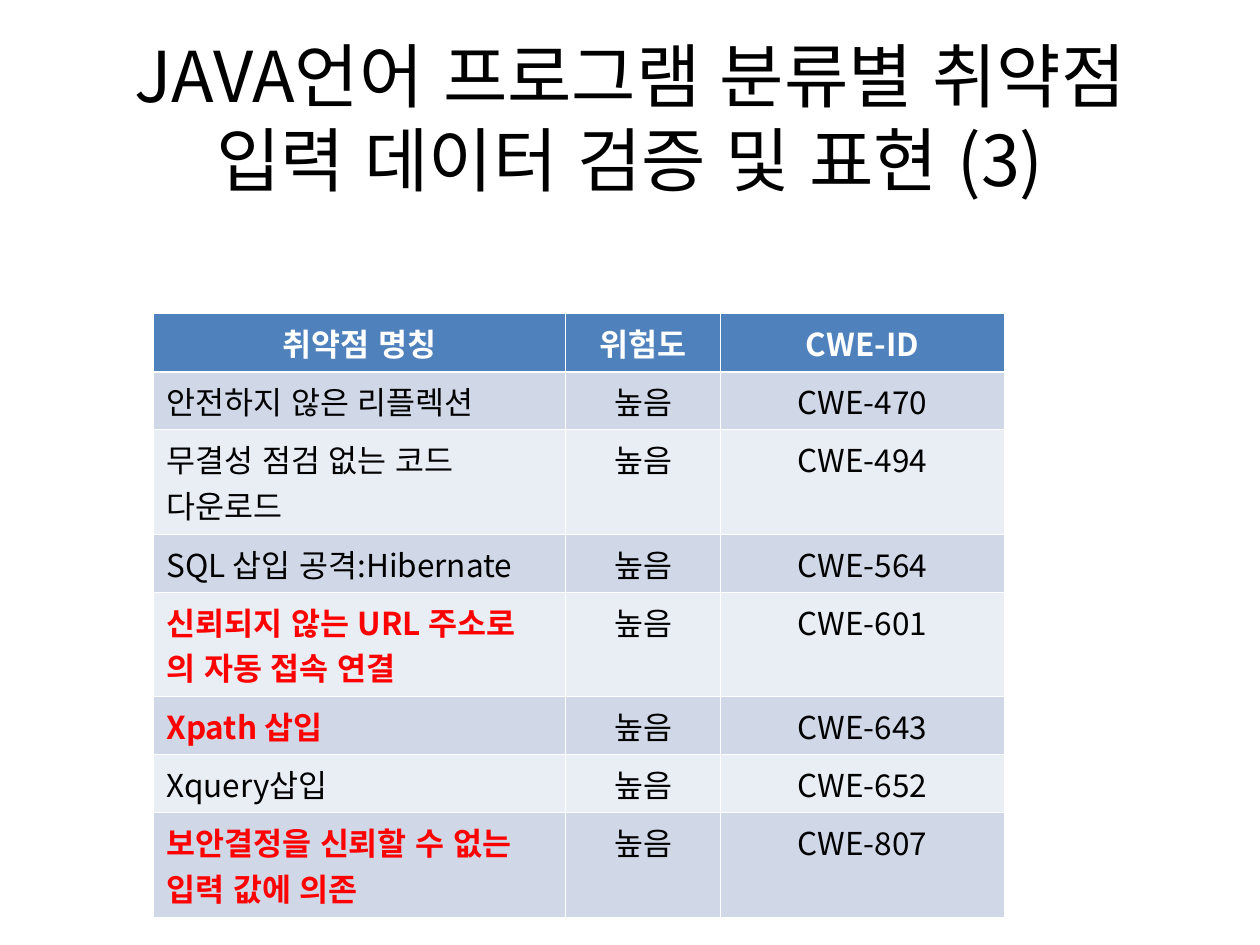
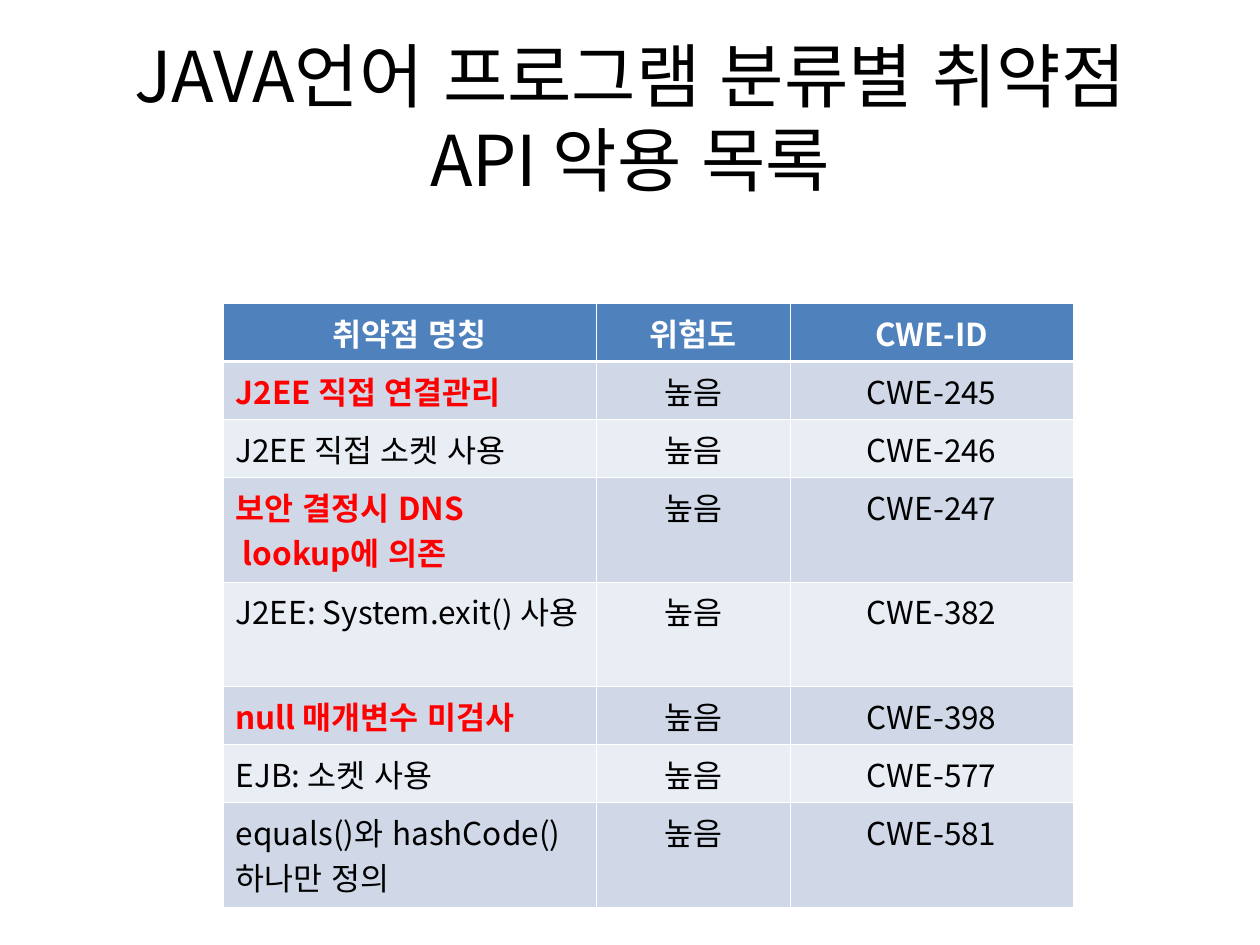
from lxml.etree import SubElement
from pptx import Presentation
from pptx.dml.color import RGBColor
from pptx.enum.lang import MSO_LANGUAGE_ID
from pptx.enum.text import MSO_ANCHOR, PP_ALIGN
from pptx.oxml.ns import qn
from pptx.util import Inches, Pt

FONT = "Noto Sans CJK KR"
BLACK, WHITE, RED = "000000", "FFFFFF", "FF0000"
HEADER_FILL = "4F81BD"
BAND_FILLS = ("D0D8E8", "E9EDF4")
THIN, THICK = 0.45, 1.47
SINGLE_ROW, DOUBLE_ROW = 0.46, 0.83
TITLE_START = "JAVA언어 프로그램 분류별 취약점 "
HEADINGS = ("취약점 명칭", "위험도", "CWE-ID")
RISK = "높음"

INPUT_ROWS = [
    ("안전하지 않은 리플렉션", 470, False),
    ("무결성 점검 없는 코드\n다운로드", 494, False),
    ("SQL 삽입 공격:Hibernate", 564, False),
    ("신뢰되지 않는 URL 주소로\n의 자동 접속 연결", 601, True),
    ("Xpath 삽입", 643, True),
    ("Xquery삽입", 652, False),
    ("보안결정을 신뢰할 수 없는\n입력 값에 의존", 807, True),
]
API_ROWS = [
    ("J2EE 직접 연결관리", 245, True),
    ("J2EE 직접 소켓 사용", 246, False),
    ("보안 결정시 DNS\n lookup에 의존", 247, True),
    ("J2EE: System.exit() 사용", 382, False),
    ("null 매개변수 미검사", 398, True),
    ("EJB: 소켓 사용", 577, False),
    ("equals()와 hashCode()\n하나만 정의", 581, False),
]


def color(value):
    return RGBColor.from_string(value)


def write_text(frame, text, size, ink=BLACK, bold=False, align=PP_ALIGN.CENTER):
    frame.text = text
    for para in frame.paragraphs:
        para.alignment = align
        for span in para.runs:
            span.font.size = Pt(size)
            span.font.bold = bold
            span.font.language_id = MSO_LANGUAGE_ID.KOREAN
            span.font.color.rgb = color(ink)
            span.font.name = FONT
            SubElement(span.font._element, qn("a:ea"), typeface=FONT)


def add_title(page, text):
    box = page.shapes.add_textbox(Inches(0.5), Inches(0.3), Inches(9), Inches(1.25))
    frame = box.text_frame
    frame.word_wrap = True
    frame.vertical_anchor = MSO_ANCHOR.MIDDLE
    write_text(frame, text, 40)


def set_borders(cell, top, bottom):
    properties = cell._tc.get_or_add_tcPr()
    for side, width in (("L", THIN), ("R", THIN), ("T", top), ("B", bottom)):
        line = SubElement(properties, qn(f"a:ln{side}"), w=str(int(Pt(width))))
        fill = SubElement(line, qn("a:solidFill"))
        SubElement(fill, qn("a:srgbClr"), val=WHITE)


def fill_cell(cell, text, fill, top=THIN, bottom=THIN, **style):
    write_text(cell.text_frame, text, 18, **style)
    set_borders(cell, top, bottom)
    cell.fill.solid()
    cell.fill.fore_color.rgb = color(fill)


def add_weakness_table(page, left, top, widths, weaknesses):
    heights = [SINGLE_ROW] + [
        DOUBLE_ROW if "\n" in name or "exit()" in name else SINGLE_ROW
        for name, _, _ in weaknesses
    ]
    table = page.shapes.add_table(
        len(heights), len(widths), Inches(left), Inches(top),
        Inches(sum(widths)), Inches(sum(heights)),
    ).table
    for column, width in zip(table.columns, widths):
        column.width = Inches(width)
    for row, height in zip(table.rows, heights):
        row.height = Inches(height)

    for column, heading in enumerate(HEADINGS):
        fill_cell(table.cell(0, column), heading, HEADER_FILL,
                  bottom=THICK, ink=WHITE, bold=True)
    for row, (name, number, highlighted) in enumerate(weaknesses, 1):
        fill = BAND_FILLS[(row - 1) % 2]
        edge = THICK if row == 1 else THIN
        fill_cell(table.cell(row, 0), name, fill, top=edge,
                  ink=RED if highlighted else BLACK, bold=highlighted,
                  align=PP_ALIGN.LEFT)
        fill_cell(table.cell(row, 1), RISK, fill, top=edge)
        fill_cell(table.cell(row, 2), f"CWE-{number}", fill, top=edge)


def add_page(deck, topic, left, top, widths, weaknesses):
    page = deck.slides.add_slide(deck.slide_layouts[6])
    add_title(page, TITLE_START + topic)
    add_weakness_table(page, left, top, widths, weaknesses)


def main():
    deck = Presentation()
    deck.slide_width = Inches(10)
    deck.slide_height = Inches(7.5)
    add_page(deck, "입력 데이터 검증 및 표현 (3)", 1.22, 2.49, (3.27, 1.23, 2.25), INPUT_ROWS)
    add_page(deck, "API 악용 목록", 1.77, 2.41, (2.96, 1.54, 2.25), API_ROWS)
    deck.save("out.pptx")


if __name__ == "__main__":
    main()
